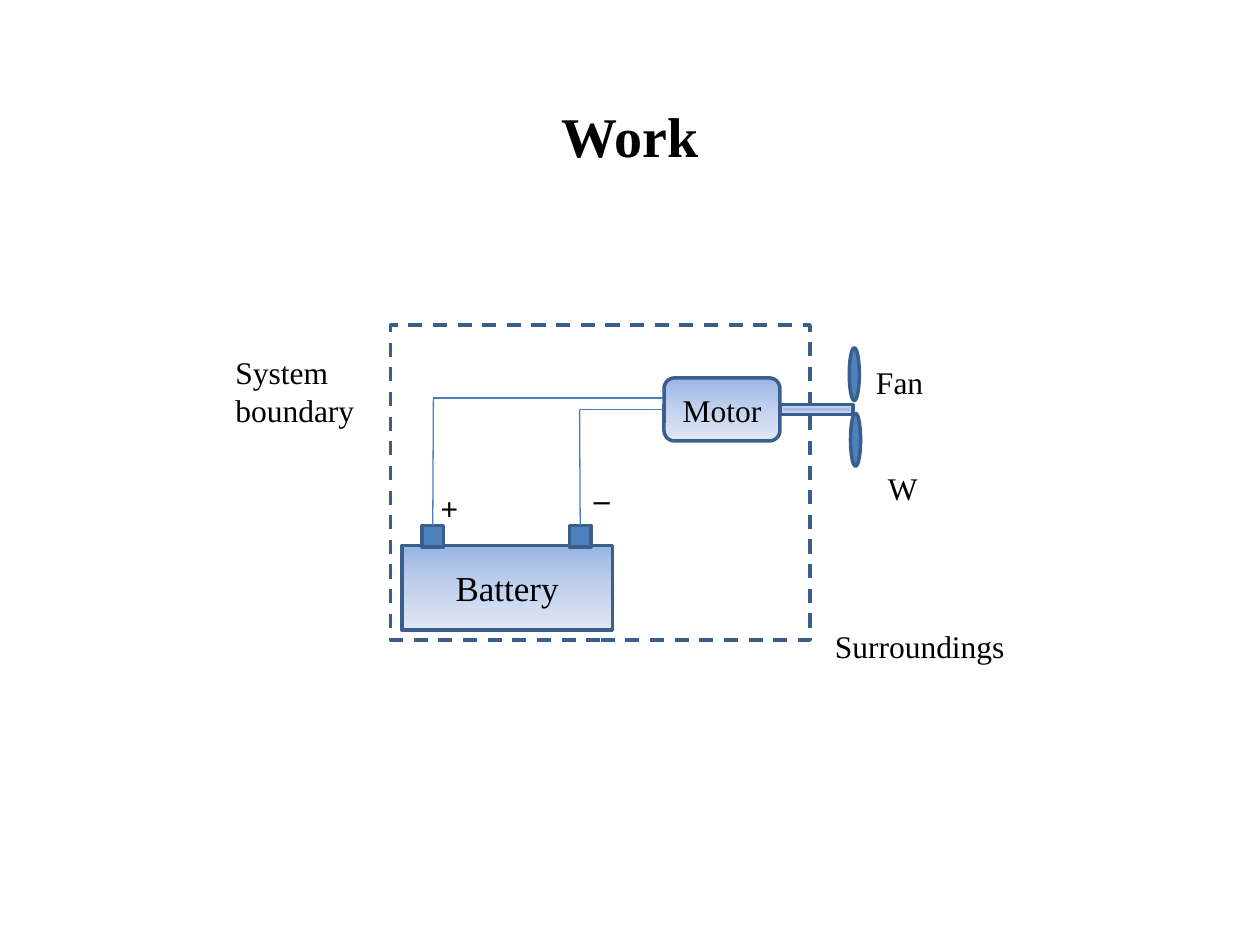
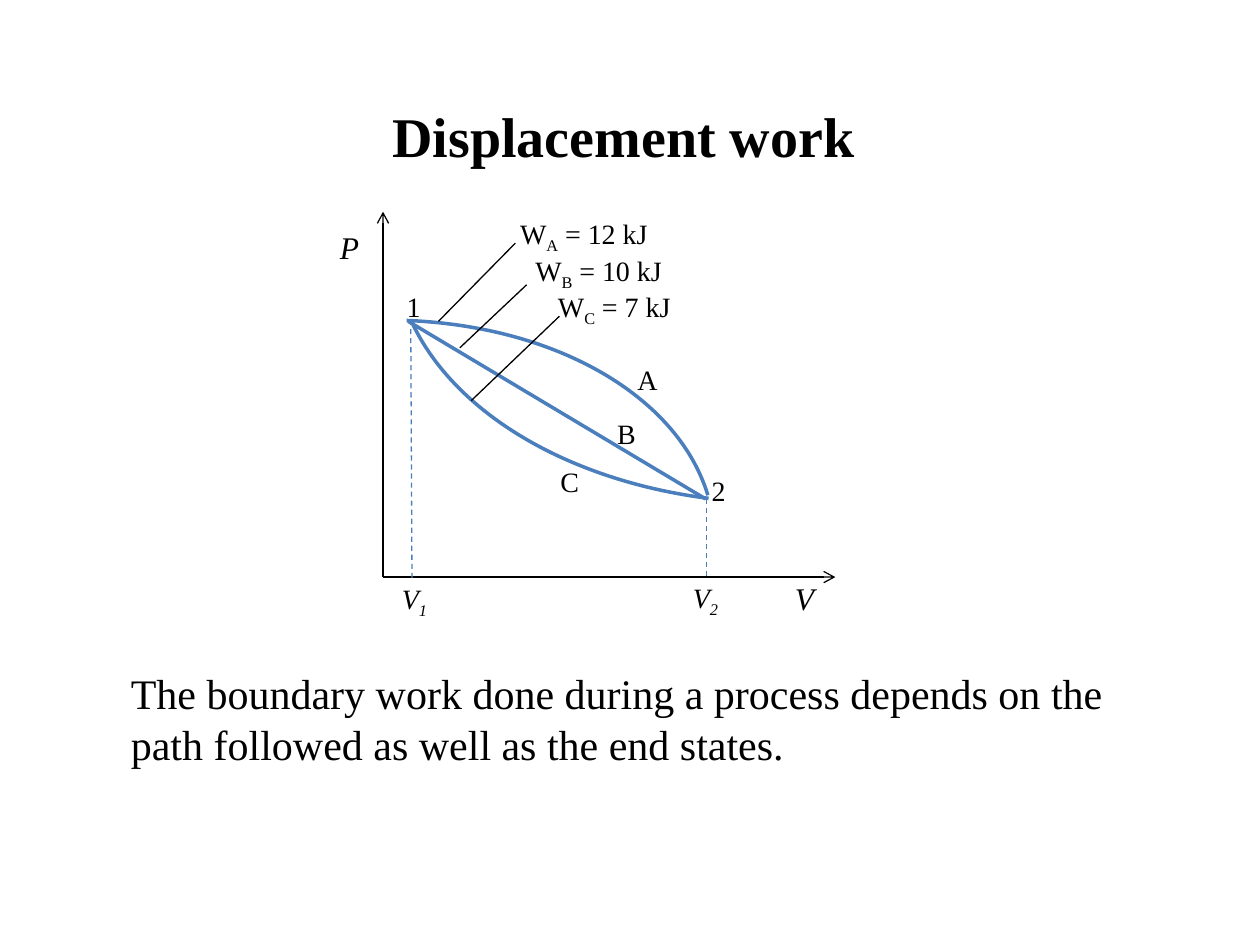
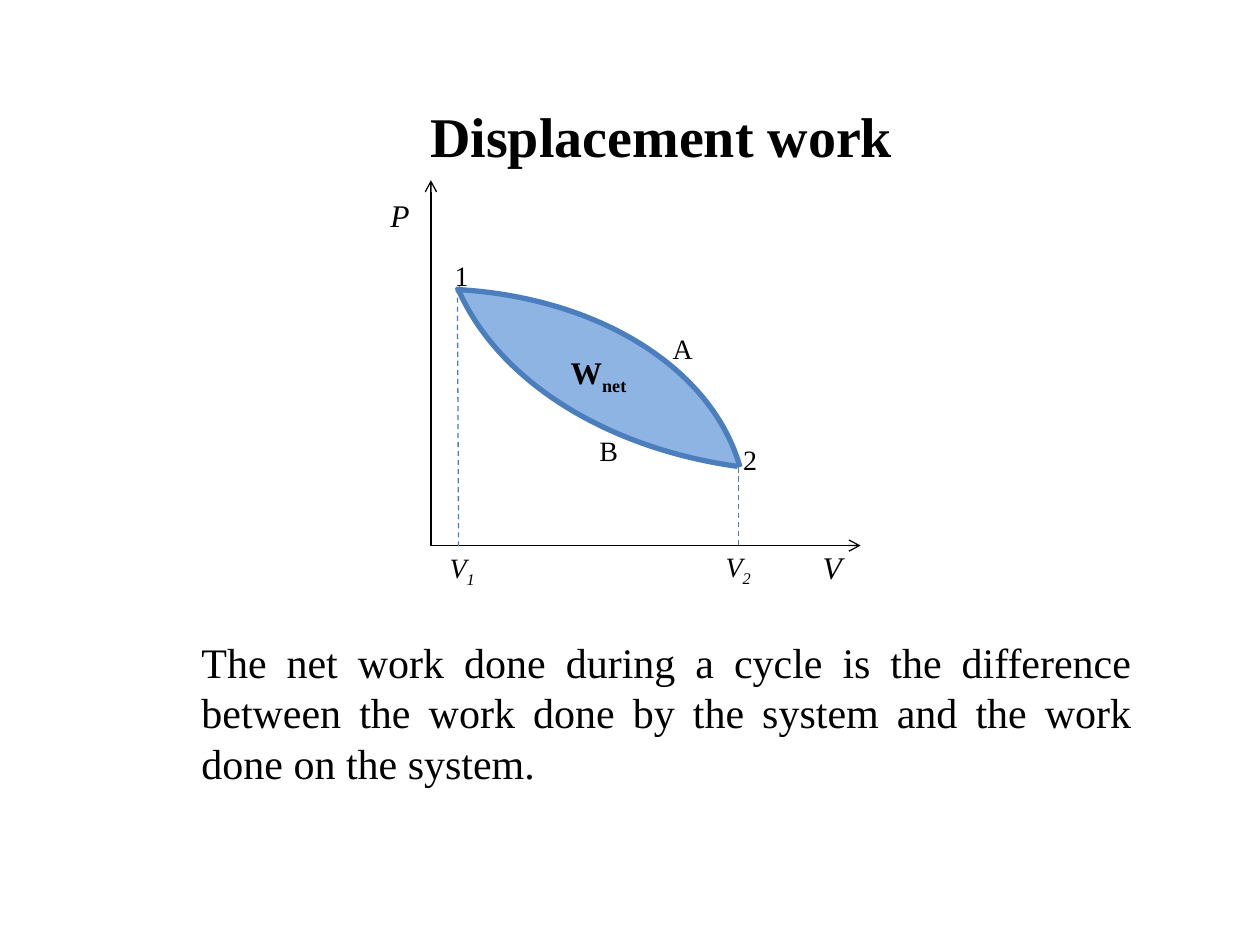
from pptx import Presentation
from pptx.dml.color import RGBColor
from pptx.enum.dml import MSO_LINE
from pptx.enum.shapes import MSO_CONNECTOR, MSO_SHAPE
from pptx.enum.text import MSO_ANCHOR, MSO_AUTO_SIZE, PP_ALIGN
from pptx.oxml import parse_xml
from pptx.oxml.ns import nsdecls, qn
from pptx.util import Inches, Pt

FONT = "Times New Roman"
COLORS = {
    "text": "000000",
    "outline": "3A5F8C",
    "solid": "4F81BD",
    "curve": "4B7EBC",
    "area": "8EB4E3",
}
GRADIENT = [(0, "9AB5E4"), (50, "C2D1ED"), (100, "E1E8F5")]
LINEAR = '<a:lin ang="5400000" scaled="0"/>'
FROM_CENTER = ('<a:path path="rect"><a:fillToRect l="50000" t="50000" '
               'r="50000" b="50000"/></a:path>')


def color(name):
    return RGBColor.from_string(COLORS[name])


def lengths(values):
    return [Inches(value) for value in values]


class Deck:
    """Holds the shared style and the slide being drawn."""

    def __init__(self):
        self.presentation = Presentation()
        self.presentation.slide_width = Inches(10)
        self.presentation.slide_height = Inches(7.5)
        self.slide = None

    def new_slide(self, title, left=0.5, width=9):
        layout = self.presentation.slide_layouts[5]
        self.slide = self.presentation.slides.add_slide(layout)
        shape = self.slide.shapes.title
        shape.left, shape.top, shape.width, shape.height = lengths((left, 0.67, width, 0.8))
        shape.text_frame.auto_size = MSO_AUTO_SIZE.NONE
        self.fill_text(shape.text_frame, [title], 32, PP_ALIGN.CENTER, bold=True)

    def fill_text(self, text_frame, parts, size, align, bold=False, italic=False):
        """Set parts that alternate between the baseline and subscript."""
        text_frame.text = parts[0]
        for part in parts[1:]:
            text_frame.paragraphs[-1].add_run().text = part
        for paragraph in text_frame.paragraphs:
            paragraph.alignment = align
            for index, run in enumerate(paragraph.runs):
                font = run.font
                font.name, font.size = FONT, Pt(size)
                font.bold, font.italic = bold, italic
                font.color.rgb = color("text")
                if index % 2:
                    font._element.set("baseline", "-25000")

    def text(self, box, *parts, size=18, align=PP_ALIGN.LEFT, wrap=False,
             bold=False, italic=False):
        text_frame = self.slide.shapes.add_textbox(*lengths(box)).text_frame
        text_frame.word_wrap = wrap
        text_frame.auto_size = MSO_AUTO_SIZE.SHAPE_TO_FIT_TEXT
        self.fill_text(text_frame, parts, size, align, bold, italic)

    def shape(self, kind, box, fill=None, line="outline", weight=2):
        shape = self.slide.shapes.add_shape(kind, *lengths(box))
        shape.shadow.inherit = False
        if fill:
            shape.fill.solid()
            shape.fill.fore_color.rgb = color(fill)
        else:
            shape.fill.background()
        shape.line.color.rgb = color(line)
        shape.line.width = Pt(weight)
        return shape

    def gradient_shape(self, kind, box, label="", size=18, direction=LINEAR):
        shape = self.shape(kind, box, fill="solid")
        stops = "".join(f'<a:gs pos="{position * 1000}"><a:srgbClr val="{value}"/></a:gs>'
                        for position, value in GRADIENT)
        gradient = parse_xml(f'<a:gradFill {nsdecls("a")} rotWithShape="1">'
                             f'<a:gsLst>{stops}</a:gsLst>{direction}</a:gradFill>')
        properties = shape._element.spPr
        properties.replace(properties.find(qn("a:solidFill")), gradient)
        if label:
            shape.text_frame.vertical_anchor = MSO_ANCHOR.MIDDLE
            self.fill_text(shape.text_frame, [label], size, PP_ALIGN.CENTER)
        return shape

    def arc(self, box, rotation, angles, weight):
        shape = self.shape(MSO_SHAPE.ARC, box, line="curve", weight=weight)
        shape.rotation = rotation
        shape.adjustments[0], shape.adjustments[1] = angles

    def line(self, start, end, stroke="curve", weight=0.75, dashed=False,
             arrow=False, begin=None):
        """Draw a line; begin is an optional (shape, side) to join."""
        connector = self.slide.shapes.add_connector(
            MSO_CONNECTOR.STRAIGHT, *lengths(start + end))
        if begin:
            connector.begin_connect(*begin)
        connector.line.color.rgb = color(stroke)
        connector.line.width = Pt(weight)
        if dashed:
            connector.line.dash_style = MSO_LINE.DASH
        if arrow:
            connector.line._get_or_add_ln().append(
                parse_xml(f'<a:tailEnd {nsdecls("a")} type="arrow"/>'))
        connector._element.spPr.append(parse_xml(f'<a:effectLst {nsdecls("a")}/>'))

    def area(self, points, fill):
        first, *rest = [tuple(lengths(point)) for point in points]
        builder = self.slide.shapes.build_freeform(*first)
        builder.add_line_segments(rest, close=True)
        shape = builder.convert_to_shape()
        shape.shadow.inherit = False
        shape.fill.solid()
        shape.fill.fore_color.rgb = color(fill)
        shape.line.fill.background()

    def pressure_volume_diagram(self, origin, x_scale, lower_label, weight):
        """Draw axes, end states and the two curved processes."""
        def place(x, y):
            return round(origin[0] + x * x_scale, 2), round(origin[1] + y, 2)

        # Axes and volume markers
        for end in ((3.59, 0), (0, -2.9)):
            self.line(origin, place(*end), "text", arrow=True)
        for top, bottom in (((0.22, -2.04), (0.23, 0.02)), ((2.57, -0.62), (2.57, 0.02))):
            self.line(place(*top), place(*bottom), dashed=True)

        # Upper and lower processes
        self.arc((*place(0.09, -4.67), 6.12 * x_scale, 4.08), 180, (171.47, 208.96), weight)
        self.arc((*place(-2.98, -2.03), 5.62 * x_scale, 3.78), 354.9, (171.47, 212.76), weight)

        # Axis, volume, state and process labels
        for x, y, name in ((3.17, -0.03, "V"), (-0.44, -2.82, "P")):
            self.text((*place(x, y), 0.36, 0.4), name, italic=True)
        for x, y, state in ((0.05, -0.01, "1"), (2.36, -0.02, "2")):
            self.text((*place(x, y), 0.42, 0.37), "V", state, size=16, italic=True)
        for x, y, name in ((0.09, -2.33, "1"), (2.51, -0.87, "2"),
                           (1.92, -1.75, "A"), (1.31, -0.94, lower_label)):
            self.text((*place(x, y), 0.36, 0.37), name, size=16)


def work_slide(deck):
    deck.new_slide("Work")

    # System boundary, battery and motor
    boundary = deck.shape(MSO_SHAPE.RECTANGLE, (3.1, 2.58, 3.33, 2.5))
    boundary.line.dash_style = MSO_LINE.DASH
    deck.gradient_shape(MSO_SHAPE.RECTANGLE, (3.19, 4.33, 1.67, 0.67), "Battery", 20)
    motor = deck.gradient_shape(MSO_SHAPE.ROUNDED_RECTANGLE, (5.27, 3, 0.92, 0.5), "Motor")
    terminals = [deck.shape(MSO_SHAPE.RECTANGLE, (left, 4.17, 0.17, 0.17), "solid")
                 for left in (3.35, 4.52)]

    # Shaft and fan blades
    deck.gradient_shape(MSO_SHAPE.RECTANGLE, (6.19, 3.21, 0.58, 0.08), direction=FROM_CENTER)
    for left, top in ((6.74, 2.76), (6.75, 3.28)):
        deck.shape(MSO_SHAPE.OVAL, (left, top, 0.08, 0.42), "solid")

    # Wires
    deck.line((5.26, 3.16), (3.44, 3.16))
    deck.line((5.27, 3.25), (4.6, 3.25), begin=(motor, 1))
    for terminal, corner in zip(terminals, ((3.44, 3.16), (4.6, 3.25))):
        deck.line((corner[0], 4.17), corner, begin=(terminal, 0))

    # Labels
    deck.text((1.77, 2.75, 1.16, 0.71), "System\nboundary")
    for box, label in (((6.85, 2.83, 0.58, 0.4), "Fan"),
                       ((6.52, 4.93, 1.56, 0.4), "Surroundings"),
                       ((6.94, 3.67, 0.45, 0.4), "W")):
        deck.text(box, label, align=PP_ALIGN.CENTER)
    for left, top, sign in ((3.39, 3.83, "+"), (4.6, 3.67, "_")):
        deck.text((left, top, 0.35, 0.4), sign, align=PP_ALIGN.CENTER, bold=True)


def process_slide(deck):
    deck.new_slide("Displacement work", 0.23, 9.44)
    deck.pressure_volume_diagram((3.04, 4.58), 1, "C", 2)

    # Straight process
    deck.line((3.24, 2.55), (5.6, 3.96), weight=2)
    deck.text((4.8, 3.26, 0.37, 0.37), "B", size=16)

    # Work values and their leaders
    for name, value, left, top, start, end in (
            ("A", 12, 4.03, 1.67, (3.48, 2.55), (4.09, 1.93)),
            ("B", 10, 4.15, 1.96, (3.65, 2.76), (4.18, 2.26)),
            ("C", 7, 4.33, 2.25, (3.74, 3.18), (4.44, 2.51))):
        deck.line(start, end, "text")
        deck.text((left, top, 1.27, 0.37), "W", name, f" = {value} kJ", size=16)

    deck.text((0.94, 5.25, 8.48, 0.91),
              "The boundary work done during a process depends on the path "
              "followed as well as the end states.", size=24, wrap=True)


def cycle_slide(deck):
    deck.new_slide("Displacement work", 0.75)

    # Net work area between the two processes
    upper = [(3.65, 2.31), (3.94, 2.34), (4.25, 2.4), (4.62, 2.51), (4.92, 2.65),
             (5.19, 2.81), (5.43, 3.01), (5.59, 3.18), (5.7, 3.33), (5.79, 3.51),
             (5.86, 3.68)]
    lower = [(5.86, 3.7), (5.6, 3.65), (5.28, 3.58), (5.01, 3.49), (4.72, 3.35),
             (4.43, 3.19), (4.19, 3.01), (4.01, 2.83), (3.82, 2.63), (3.71, 2.46)]
    deck.area(upper + lower, "area")
    deck.text((4.43, 2.75, 0.68, 0.4), "W", "net", bold=True)
    deck.pressure_volume_diagram((3.42, 4.33), 0.95, "B", 3)

    deck.text((1.5, 5, 7.58, 1.31),
              "The net work done during a cycle is the difference between the work "
              "done by the system and the work done on the system.",
              size=24, align=PP_ALIGN.JUSTIFY, wrap=True)


def main():
    deck = Deck()
    work_slide(deck)
    process_slide(deck)
    cycle_slide(deck)
    deck.presentation.save("out.pptx")


if __name__ == "__main__":
    main()
